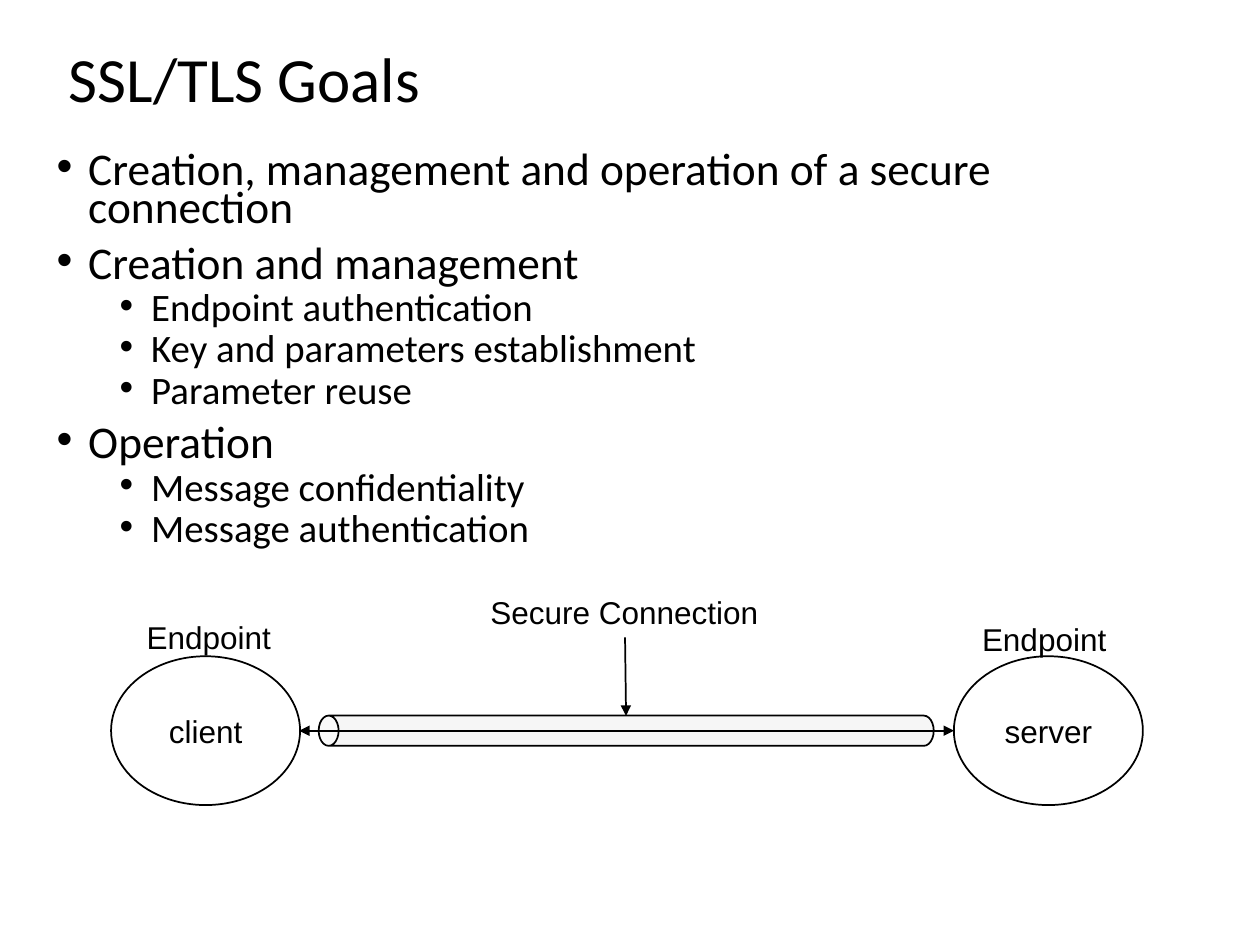
from lxml.etree import SubElement
from pptx import Presentation
from pptx.dml.color import RGBColor
from pptx.enum.shapes import MSO_CONNECTOR, MSO_SHAPE
from pptx.enum.text import MSO_ANCHOR, PP_ALIGN
from pptx.oxml.ns import qn
from pptx.util import Cm, Pt

COLORS = {"ink": "000000", "pipe": "DDDDDD"}
TITLE = {"name": "Calibri", "size": Pt(36)}
LABEL = {"name": "Arial", "size": Pt(18)}
# Bullet levels: font, space before and left margin
LEVELS = [
    ({"name": "Calibri", "size": Pt(25.9)}, Pt(10), Cm(0.64)),
    ({"name": "Calibri", "size": Pt(22.2)}, Pt(5), Cm(1.91)),
]
HANGING = Cm(0.64)
GOALS = [
    (0, "Creation, management and operation of a secure connection"),
    (0, "Creation and management"),
    (1, "Endpoint authentication"),
    (1, "Key and parameters establishment"),
    (1, "Parameter reuse"),
    (0, "Operation"),
    (1, "Message confidentiality"),
    (1, "Message authentication"),
]


def rgb(name):
    return RGBColor.from_string(COLORS[name])


def write(p, text, font):
    r = p.add_run()
    r.text = text
    for key, value in font.items():
        setattr(r.font, key, value)
    r.font.color.rgb = rgb("ink")


def outline(sp):
    sp.line.color.rgb = rgb("ink")
    sp.line.width = Pt(1)


def add_text(s, box, text, font, **form):
    tf = s.shapes.add_textbox(*map(Cm, box)).text_frame
    tf.word_wrap = True
    p = tf.paragraphs[0]
    for key, value in form.items():
        setattr(tf if key == "vertical_anchor" else p, key, value)
    write(p, text, font)


def add_bullets(s, box, items):
    tf = s.shapes.add_textbox(*map(Cm, box)).text_frame
    tf.word_wrap = True
    for i, (level, text) in enumerate(items):
        font, before, margin = LEVELS[level]
        p = tf.add_paragraph() if i else tf.paragraphs[0]
        form = {"level": level, "line_spacing": 0.7, "space_before": before}
        for key, value in form.items():
            setattr(p, key, value)
        pPr = p._p.get_or_add_pPr()
        pPr.set("marL", str(margin))
        pPr.set("indent", str(-HANGING))
        SubElement(pPr, qn("a:buFont"), typeface="Arial")
        SubElement(pPr, qn("a:buChar"), char="•")
        write(p, text, font)


def add_node(s, box, text):
    sp = s.shapes.add_shape(MSO_SHAPE.OVAL, *map(Cm, box))
    sp.shadow.inherit = False
    sp.fill.background()
    outline(sp)
    tf = sp.text_frame
    tf.vertical_anchor = MSO_ANCHOR.MIDDLE
    p = tf.paragraphs[0]
    p.alignment = PP_ALIGN.CENTER
    write(p, text, LABEL)


def add_pipe(s, box):
    sp = s.shapes.add_shape(MSO_SHAPE.CAN, *map(Cm, box))
    sp.shadow.inherit = False
    sp.rotation = 270
    sp.adjustments[0] = 0.66
    sp.fill.solid()
    sp.fill.fore_color.rgb = rgb("pipe")
    color = sp._element.spPr.find(qn("a:solidFill"))[0]
    SubElement(color, qn("a:alpha"), val="25000")
    outline(sp)


def add_arrow(s, ends, *heads):
    line = s.shapes.add_connector(MSO_CONNECTOR.STRAIGHT, *map(Cm, ends))
    outline(line)
    ln = line.line._get_or_add_ln()
    for head in heads:
        SubElement(ln, qn(f"a:{head}"), type="triangle")
    SubElement(line._element.spPr, qn("a:effectLst"))


def main():
    prs = Presentation()
    prs.slide_width, prs.slide_height = Cm(25.4), Cm(19.05)
    s = prs.slides.add_slide(prs.slide_layouts[6])

    # Title and goals
    add_text(s, (1.14, 0.74, 23.11, 1.83), "SSL/TLS Goals", TITLE,
             line_spacing=0.9, vertical_anchor=MSO_ANCHOR.MIDDLE)
    add_bullets(s, (0.89, 3, 23.37, 8.38), GOALS)

    # Endpoints
    for left, text in ((2.24, "client"), (19.23, "server")):
        add_node(s, (left, 13.23, 3.81, 3), text)

    # Secure connection between them
    add_pipe(s, (12.32, 8.53, 0.61, 12.4))
    add_arrow(s, (6.03, 14.73, 19.23, 14.73), "headEnd", "tailEnd")
    add_arrow(s, (12.6, 12.85, 12.62, 14.43), "tailEnd")

    # Labels
    for box, text in (
        ((8.76, 11.84, 7.65, 1.02), "Secure Connection"),
        ((2.24, 12.34, 3.94, 0.84), "Endpoint"),
        ((19.08, 12.37, 3.94, 0.84), "Endpoint"),
    ):
        add_text(s, box, text, LABEL, alignment=PP_ALIGN.CENTER)

    prs.save("out.pptx")


main()
